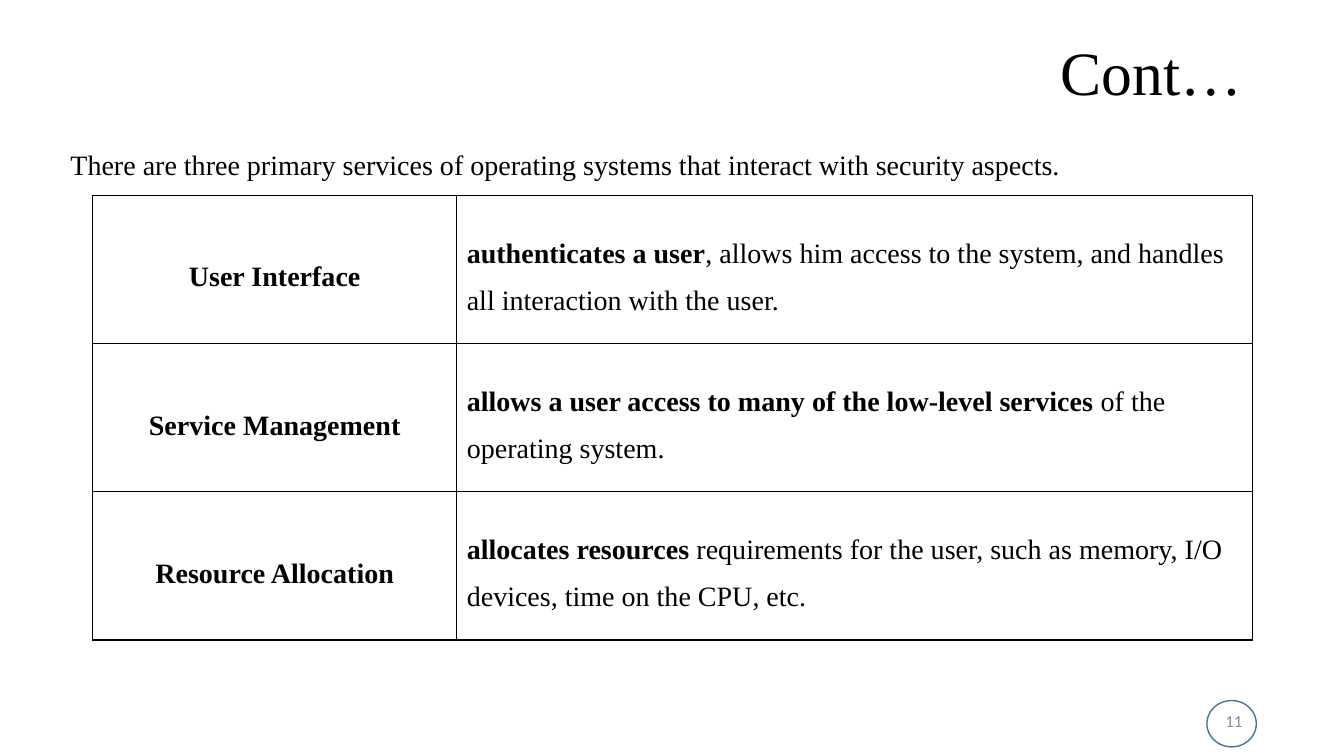
from lxml.etree import SubElement
from pptx import Presentation
from pptx.dml.color import RGBColor
from pptx.enum.shapes import MSO_SHAPE
from pptx.enum.text import MSO_ANCHOR, PP_ALIGN
from pptx.oxml.ns import qn
from pptx.util import Emu, Pt

PX = 9144
BLACK = "000000"
SERIF = "Times New Roman"
INTRO = ("There are three primary services of operating systems "
         "that interact with security aspects.")
SERVICES = [
    ("User Interface", "authenticates a user",
     ", allows him access to the system, and handles all interaction with the user."),
    ("Service Management", "allows a user access to many of the low-level services",
     " of the operating system."),
    ("Resource Allocation", "allocates resources ",
     "requirements for the user, such as memory, I/O devices, time on the CPU, etc."),
]


def px(*values):
    return [Emu(v * PX) for v in values]


def color(value):
    return RGBColor.from_string(value)


def write(tf, runs, size=20, font=SERIF, fill=BLACK, **formats):
    p = tf.paragraphs[0]
    for name, value in formats.items():
        setattr(p, name, value)
    for text, bold in runs:
        r = p.add_run()
        r.text = text
        for name, value in {"size": Pt(size), "name": font, "bold": bold}.items():
            setattr(r.font, name, value)
        r.font.color.rgb = color(fill)


def add_text(s, box, text, anchor=MSO_ANCHOR.MIDDLE, **formats):
    tf = s.shapes.add_textbox(*px(*box)).text_frame
    tf.word_wrap = True
    tf.vertical_anchor = anchor
    write(tf, [(text, False)], **formats)


def add_ring(s, box, line):
    sp = s.shapes.add_shape(MSO_SHAPE.OVAL, *px(*box))
    sp.shadow.inherit = False
    sp.fill.background()
    sp.line.color.rgb = color(line)
    sp.line.width = Pt(1)


def add_borders(cell):
    pr = cell._tc.get_or_add_tcPr()
    for index, side in enumerate(("lnL", "lnR", "lnT", "lnB")):
        ln = SubElement(pr, qn("a:" + side), w=str(Pt(1)))
        pr.insert(index, ln)
        SubElement(SubElement(ln, qn("a:solidFill")), qn("a:srgbClr"), val=BLACK)


def add_cell(cell, runs, align):
    cell.fill.background()
    cell.vertical_anchor = MSO_ANCHOR.MIDDLE
    write(cell.text_frame, runs, alignment=align, line_spacing=1.5)
    add_borders(cell)


def add_services(s, box, widths):
    table = s.shapes.add_table(len(SERVICES), len(widths), *px(*box)).table
    table.first_row = table.horz_banding = False
    for column, width in zip(table.columns, px(*widths)):
        column.width = width
    for row, (service, lead, rest) in enumerate(SERVICES):
        add_cell(table.cell(row, 0), [(service, True)], PP_ALIGN.CENTER)
        add_cell(table.cell(row, 1), [(lead, True), (rest, False)], PP_ALIGN.LEFT)


def main():
    prs = Presentation()
    prs.slide_width, prs.slide_height = px(1333, 750)
    s = prs.slides.add_slide(prs.slide_layouts[6])
    add_ring(s, (1197, 695, 49, 46), "43739E")
    add_text(s, (92, 2, 1150, 145), "Cont…", size=44,
             alignment=PP_ALIGN.RIGHT, line_spacing=0.9)
    add_text(s, (60, 139, 1228, 528), INTRO, MSO_ANCHOR.TOP, line_spacing=1.07,
             space_before=Pt(7.5), space_after=Pt(8))
    add_text(s, (942, 695, 300, 40), "11", size=12, font="Calibri", fill="898989",
             alignment=PP_ALIGN.RIGHT)
    add_services(s, (92, 194, 1150, 441), (361, 789))
    prs.save("out.pptx")


if __name__ == "__main__":
    main()
